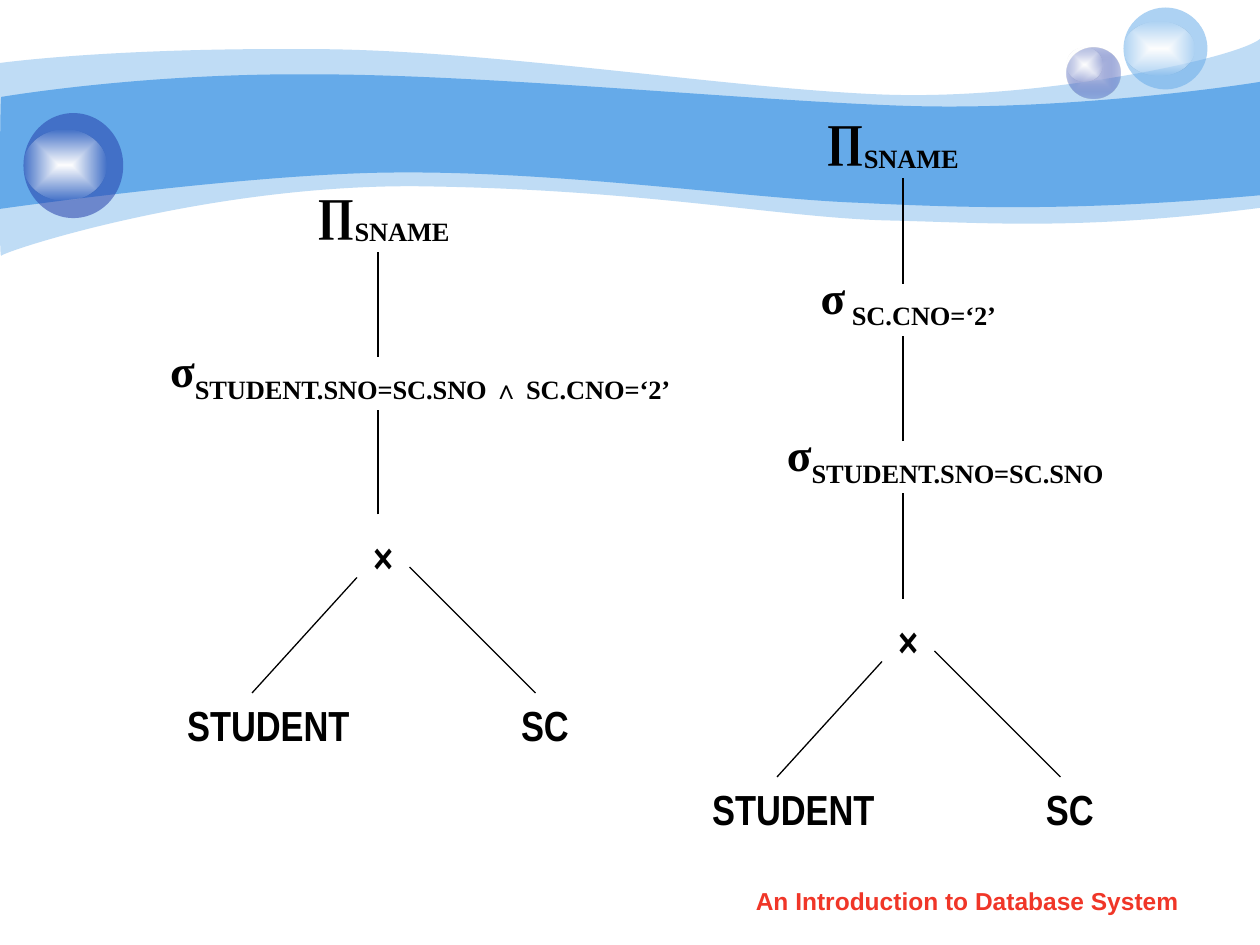
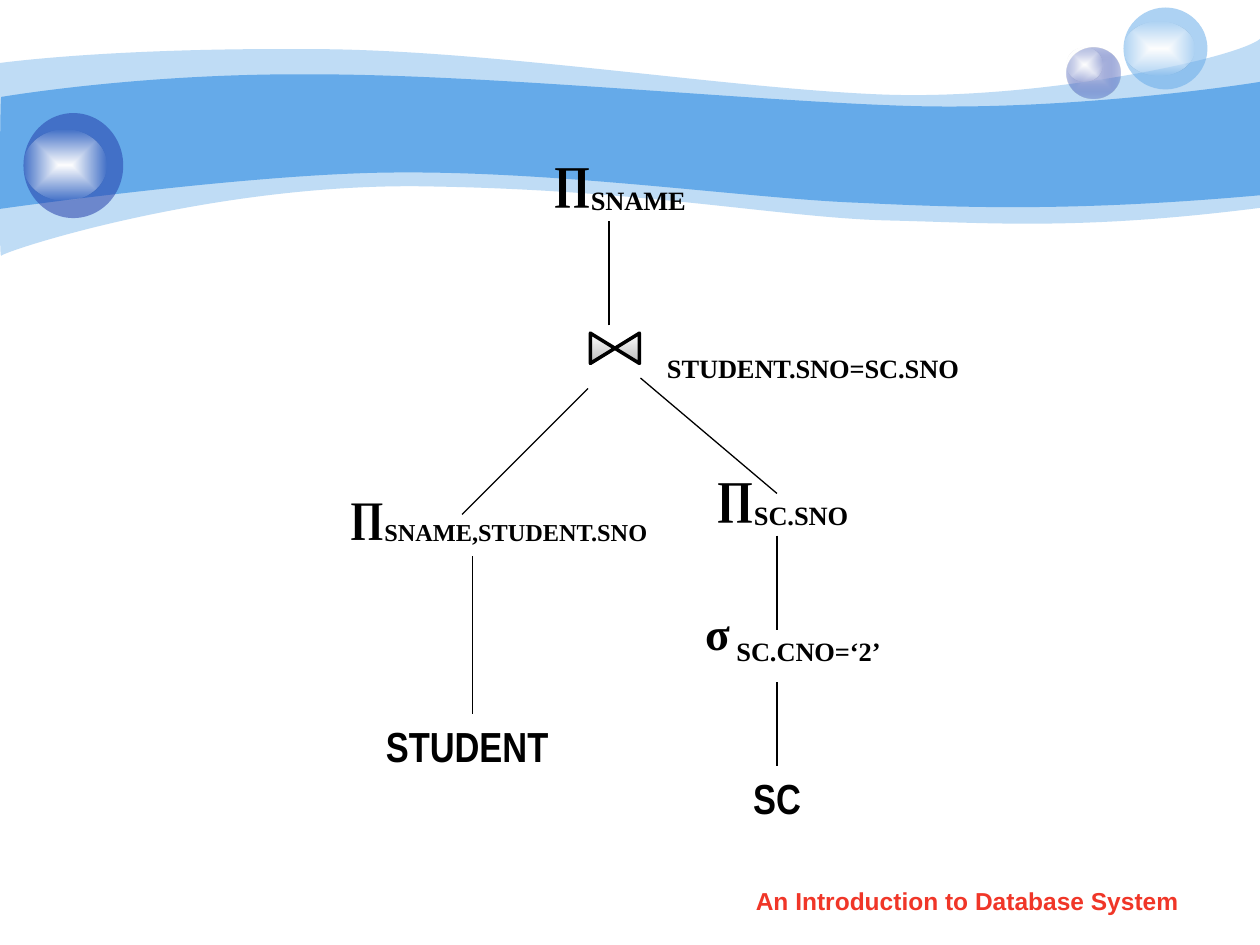
"""Build two slides of relational algebra query trees."""
from itertools import chain
from lxml.etree import SubElement
from pptx import Presentation
from pptx.dml.color import RGBColor
from pptx.enum.shapes import MSO_CONNECTOR, MSO_SHAPE
from pptx.enum.text import MSO_ANCHOR, PP_ALIGN
from pptx.oxml import parse_xml
from pptx.oxml.ns import nsdecls, qn
from pptx.util import Pt

SKY, NAVY, BLACK, RED = "65AAE9", "233DA9", "000000", "F03628"
SERIF, NARROW, SANS = "Times New Roman", "Arial Narrow", "Arial"
GLOW = [("FFFFFF", 100), ("FEFEFE", 0)]
BRANCH, LEVEL = 60, 90
INSET = 7.2

# Each band is a start point and its segments: two control points and an end, or an end alone.
PALE_BAND = (0, 36), [
    [(17.3, 33.8), (77, 27.4), (177.8, 28.1)],
    [(277.9, 28.1), (414, 50.4), (503.3, 54)],
    [(591.8, 57.6), (705.6, 33.8), (720, 22.3)],
    [(720, 118.8)],
    [(617.8, 131.8), (566.6, 127.4), (507.6, 126)],
    [(447.8, 124.6), (370.8, 108.7), (247, 106.6)],
    [(123.8, 103.7), (2.9, 143.3), (0.7, 146.2)],
    [(-0.7, 149.8), (0, 54), (0, 36)],
]
BRIGHT_BAND = (0.7, 55.4), [
    [(1.4, 55.4), (79.2, 41.8), (178.6, 42.5)],
    [(277.9, 42.5), (428.4, 57.6), (517, 60.5)],
    [(605.5, 63.4), (702.7, 49.7), (720, 46.8)],
    [(720, 111.6)],
    [(614.2, 121), (550.8, 118.8), (491, 115.9)],
    [(431.3, 113.8), (321.8, 97.9), (228.2, 98.6)],
    [(146.2, 98.6), (-1.4, 119.5), (-0.7, 119.5)],
    [(0, 119.5), (0, 55.4), (0.7, 55.4)],
]


def rgb(value):
    """Turn a hex string into a colour."""
    return RGBColor.from_string(value)


def bend(shape, segments):
    """Turn the straight legs of each three-point segment into one cubic curve."""
    legs = iter(list(shape._element.iter(qn("a:lnTo"))))
    for segment in segments:
        first, *others = [next(legs) for _ in segment]
        if others:
            first.tag = qn("a:cubicBezTo")
        for leg in others:
            first.append(leg[0])
            leg.getparent().remove(leg)


def add_run(paragraph, text, *, size, font, color=BLACK, baseline=0):
    """Add a bold run with the given format."""
    run = paragraph.add_run()
    run.text = text
    run.font.size, run.font.name, run.font.bold = Pt(size), font, True
    run.font.color.rgb = rgb(color)
    if baseline:
        run._r.get_or_add_rPr().set("baseline", str(baseline * 1000))


def paint(shape, color, alpha=100):
    """Fill a shape with one colour and remove its line and shadow."""
    shape.shadow.inherit = False
    shape.line.fill.background()
    shape.fill.solid()
    shape.fill.fore_color.rgb = rgb(color)
    if alpha < 100:
        tint = shape._element.spPr.find(f"{qn('a:solidFill')}/{qn('a:srgbClr')}")
        SubElement(tint, qn("a:alpha")).set("val", str(alpha * 1000))


def paint_gradient(shape, stops, angle=None):
    """Fill a shape from its centre outwards, or along an angle."""
    paint(shape, stops[0][0])
    marks = "".join(
        f'<a:gs pos="{place}"><a:srgbClr val="{color}"><a:alpha val="{alpha * 1000}"/>'
        "</a:srgbClr></a:gs>" for place, (color, alpha) in zip((0, 100000), stops))
    if angle is None:
        course = ('<a:path path="rect"><a:fillToRect l="50000" t="50000" r="50000" '
                  'b="50000"/></a:path>')
    else:
        course = f'<a:lin ang="{angle * 60000}" scaled="1"/>'
    gradient = parse_xml(f'<a:gradFill {nsdecls("a")} rotWithShape="0">'
                         f"<a:gsLst>{marks}</a:gsLst>{course}</a:gradFill>")
    properties = shape._element.spPr
    properties.replace(properties.find(qn("a:solidFill")), gradient)


class TreeDeck:
    """Hold the presentation, its style and the current slide."""

    def __init__(self):
        """Open a 10 by 7.5 inch presentation."""
        self.deck = Presentation()
        self.deck.slide_width, self.deck.slide_height = Pt(720), Pt(540)

    def new_slide(self):
        """Start a slide with the shared bands and bubbles."""
        self.shapes = self.deck.slides.add_slide(self.deck.slide_layouts[6]).shapes
        self.band(*PALE_BAND, alpha=41)
        self.band(*BRIGHT_BAND)
        paint_gradient(self.oval(609.8, 27.4, 30.6, 29), [("C6CCE8", 100), (NAVY, 31)])
        paint_gradient(self.oval(609.8, 27.4, 20.2, 19.4), GLOW)
        paint(self.oval(642, 4.3, 48, 46.8), SKY, 53)
        paint_gradient(self.oval(642, 12.2, 40.3, 31), GLOW)
        paint(self.oval(13.4, 64.6, 57, 60), NAVY, 53)
        paint_gradient(self.oval(13.4, 74.2, 47.5, 40.3), GLOW)

    def footer(self):
        """Write the course title at the foot of the slide."""
        add_run(self.box(410.8, 502.5, 284, 25), "An Introduction to Database System",
                size=14, font=SANS, color=RED)

    def band(self, start, segments, alpha=100):
        """Draw a wavy band."""
        first, *rest = [(Pt(x), Pt(y)) for x, y in chain([start], *segments)]
        builder = self.shapes.build_freeform(*first)
        builder.add_line_segments(rest)
        wave = builder.convert_to_shape()
        bend(wave, segments)
        paint(wave, SKY, alpha)

    def oval(self, left, top, width, height):
        """Add an ellipse."""
        return self.shapes.add_shape(MSO_SHAPE.OVAL, Pt(left), Pt(top), Pt(width), Pt(height))

    def box(self, left, top, width, height, indent=INSET):
        """Add a text box and return its centred paragraph."""
        self.last_box = self.shapes.add_textbox(Pt(left), Pt(top), Pt(width), Pt(height))
        frame = self.last_box.text_frame
        frame.word_wrap, frame.vertical_anchor = True, MSO_ANCHOR.TOP
        frame.margin_left = Pt(indent)
        frame.paragraphs[0].alignment = PP_ALIGN.CENTER
        return frame.paragraphs[0]

    def leaf(self, name, left, top, width):
        """Write a relation name or product sign and return its box."""
        add_run(self.box(left, top, width, 36), name, size=24, font=NARROW)
        return self.last_box

    def leaf_pair(self, names, left, top, width):
        """Write two relation names on one line, the second at a tab stop."""
        paragraph = self.box(left, top, width, 36, indent=46.9)
        paragraph.alignment = PP_ALIGN.LEFT
        stops = SubElement(paragraph._p.get_or_add_pPr(), qn("a:tabLst"))
        stop = SubElement(stops, qn("a:tab"))
        stop.set("pos", str(Pt(190.8)))
        stop.set("algn", "l")
        add_run(paragraph, "\t".join(names), size=24, font=NARROW)

    def operator(self, symbol, subscript, left, top, width, size=26, height=43, indent=INSET):
        """Write an algebra operator with its subscript."""
        paragraph = self.box(left, top, width, height, indent)
        if symbol:
            add_run(paragraph, symbol, size=size, font=SERIF)
        add_run(paragraph, subscript, size=size, font=SERIF, baseline=-25)

    def edge(self, x1, y1, x2, y2, child=None):
        """Draw a tree edge, joined to the top of a child if one is given."""
        line = self.shapes.add_connector(MSO_CONNECTOR.STRAIGHT, Pt(x1), Pt(y1), Pt(x2), Pt(y2))
        line.line.color.rgb, line.line.width = rgb(BLACK), Pt(0.75)
        SubElement(line._element.spPr, qn("a:effectLst"))
        if child is not None:
            line.end_connect(child, 0)

    def product_tree(self, x, top, levels):
        """Draw a product of STUDENT and SC with stems above it up to the top."""
        foot = top + (levels - 1) * LEVEL + BRANCH
        self.leaf_pair(("STUDENT", "SC"), x - 156, foot + 102, 312)
        self.edge(x - 72, foot + 102, x - 12, foot + 36)
        self.edge(x + 18, foot + 30, x + 90, foot + 102)
        self.leaf("×", x - 24, foot + 6, 54)
        for level in range(levels):
            stem = foot - level * LEVEL
            self.edge(x, stem, x, stem - BRANCH)

    def join_sign(self, left, top, width, height):
        """Draw the bow-tie join sign."""
        sign = self.shapes.add_shape(MSO_SHAPE.FLOWCHART_COLLATE,
                                     Pt(left), Pt(top), Pt(width), Pt(height))
        sign.rotation = 90
        paint_gradient(sign, [("FFFFFF", 100), ("BABABA", 100)], angle=90)
        sign.line.color.rgb, sign.line.width = rgb(BLACK), Pt(2)


def product_slide(deck):
    """Show the product tree before and after splitting the selection."""
    deck.new_slide()
    deck.product_tree(216, 144, 2)
    deck.operator("σ", "STUDENT.SNO=SC.SNO ∧ SC.CNO=‘2’", 60, 192, 360)
    deck.operator("∏", "SNAME", 150, 102, 138)
    deck.product_tree(516, 102, 3)
    deck.operator("σ", " SC.CNO=‘2’", 450, 150, 138, height=94)
    deck.operator("∏", "SNAME", 438, 60, 144)
    deck.operator("σ", "STUDENT.SNO=SC.SNO", 360, 240, 360)
    deck.footer()


def join_slide(deck):
    """Show the tree with a join and early projections."""
    deck.new_slide()
    deck.leaf("STUDENT", 210, 408, 114)
    deck.edge(264, 294, 336, 222)
    deck.edge(366, 216, 444, 282)
    deck.operator("", "STUDENT.SNO=SC.SNO", 294, 180, 288, indent=60)
    deck.edge(348, 186, 348, 126)
    deck.operator("σ", " SC.CNO=‘2’", 384, 342, 138)
    deck.edge(444, 390, 444, 438, child=deck.leaf("SC", 384, 438, 120))
    deck.operator("∏", "SNAME", 282, 84, 144)
    deck.edge(270, 408, 270, 318)
    deck.operator("∏", "SNAME,STUDENT.SNO", 180, 276, 210, size=24, height=40)
    deck.operator("∏", "SC.SNO", 390, 264, 114)
    deck.edge(444, 306, 444, 360)
    deck.join_sign(342.7, 185, 17.3, 28.1)
    deck.footer()


def main():
    """Build both slides and save them."""
    deck = TreeDeck()
    product_slide(deck)
    join_slide(deck)
    deck.deck.save("out.pptx")


if __name__ == "__main__":
    main()
